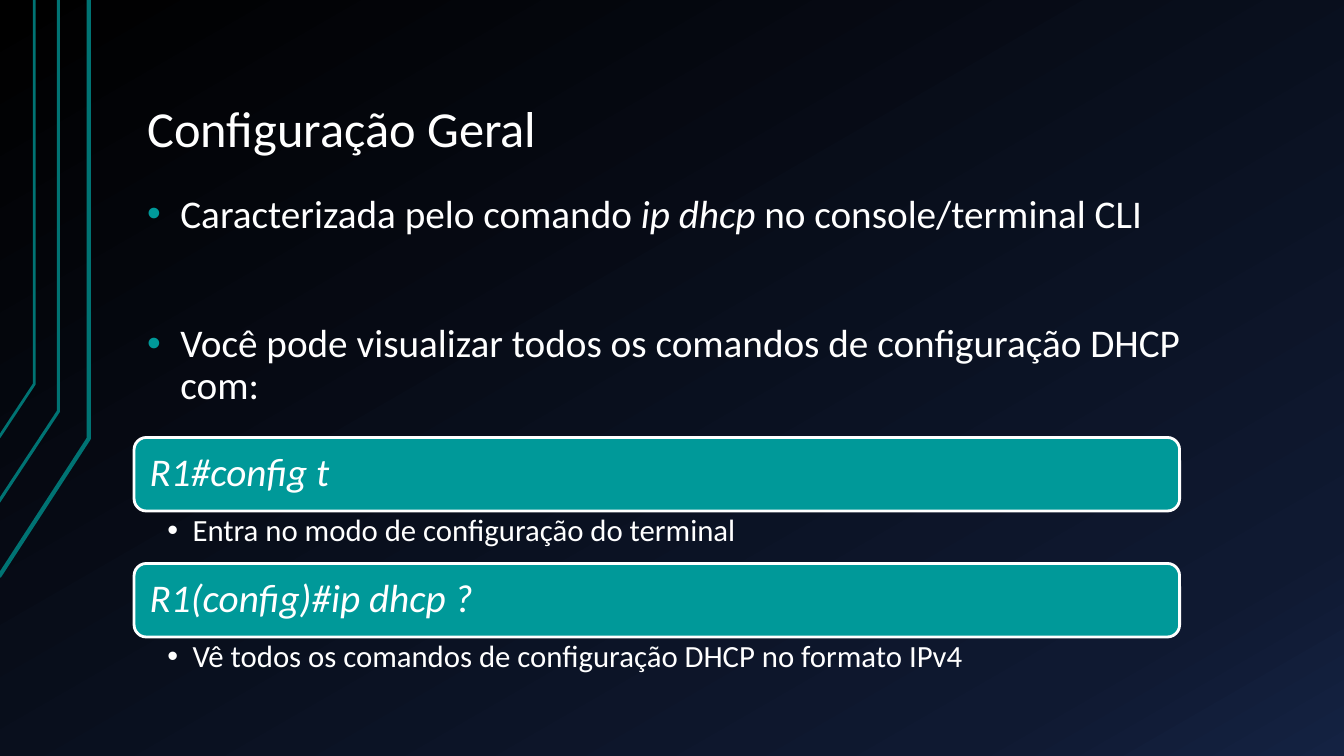
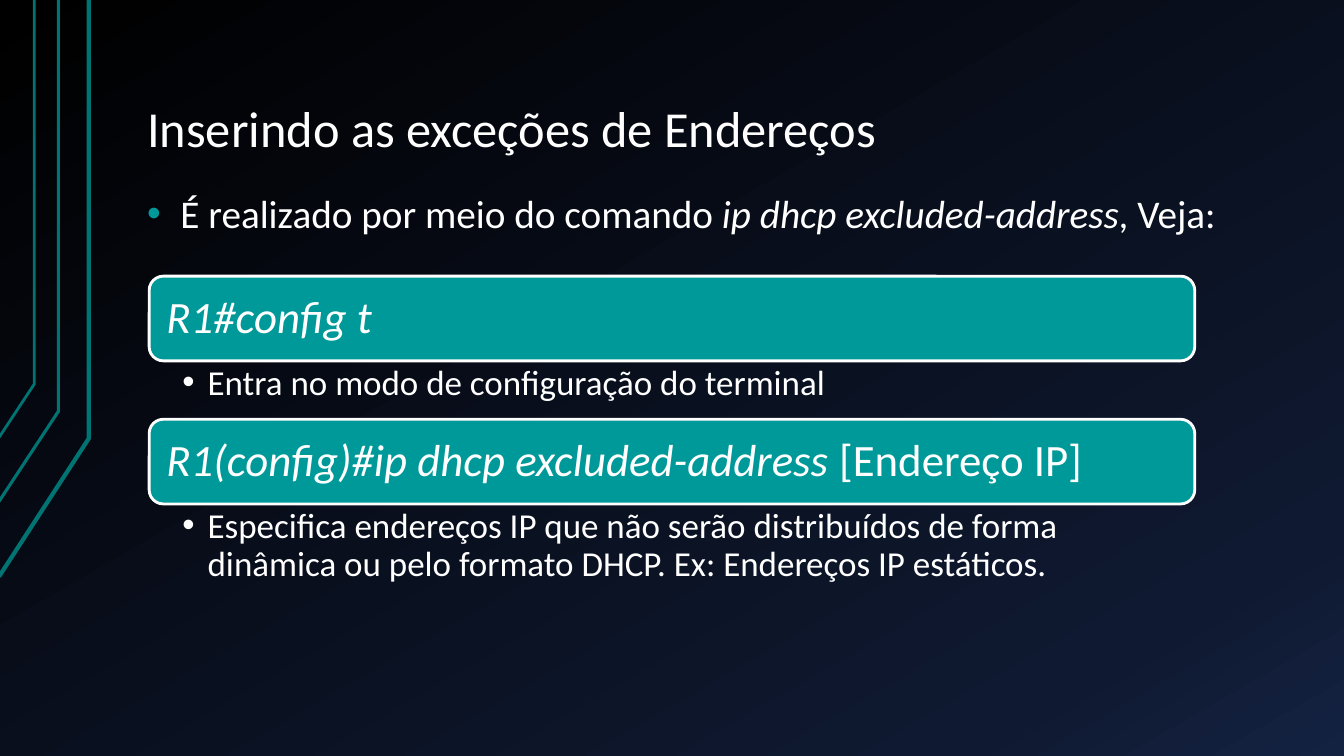
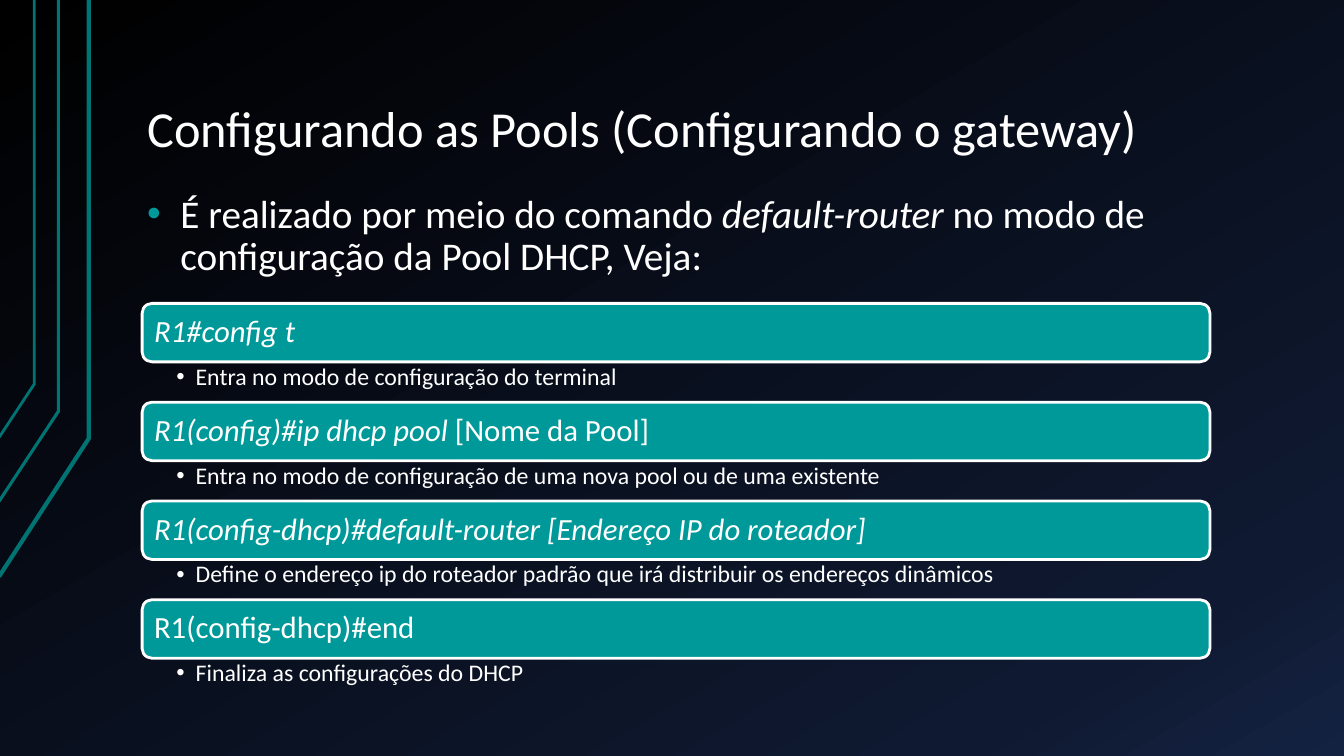
"""Build three slides on DHCP configuration commands."""
import copy

import pptx
import pptx.dml.color
import pptx.enum.shapes
import pptx.enum.text
import pptx.oxml
import pptx.oxml.ns
import pptx.util
from pptx.util import Inches

FONT = "Calibri"
COLORS = {
    "text": "FFFFFF",
    "accent": "009999",
    "rail": "007373",
    "night": "000000",
    "navy": "0F1931",
    "blue": "142242",
}
BACKGROUND_STOPS = [(0, "night"), (0.85, "navy"), (1, "blue")]
BACKGROUND_ANGLE = 300
RAILS = [
    (3, [(-0.01, 5.72), (0.88, 4.35), (0.88, 0)]),
    (2.25, [(-0.02, 4.99), (0.58, 4.08), (0.58, 0)]),
    (2, [(-0.01, 4.34), (0.34, 3.81), (0.34, 0)]),
]
TITLE_BOX = (1.33, 0.3, 11.33, 1.34)
BODY_BOX = (1.33, 1.86, 11.33, 4.88)
PLACEHOLDER_INSETS = (0.13, 0.07, 0.13, 0.07)
BODY_GAPS = [16, 62]

SLIDES = [
    {
        "title": "Configuração Geral",
        "body": [
            "Caracterizada pelo comando *ip dhcp *no console/terminal CLI",
            "Você pode visualizar todos os comandos de configuração DHCP com:",
        ],
        "list": {
            "left": 1.33, "top": 4.34, "width": 10.37, "bar": 0.73, "note": 0.52,
            "bar_size": 28, "note_size": 22, "bar_inset": 0.12,
            "note_insets": (0.33, 0.04, 0.22, 0.04), "hang": 0.25,
        },
        "steps": [
            ("*R1#config t*", "Entra no modo de configuração do terminal"),
            ("*R1(config)#ip dhcp ?*",
             "Vê todos os comandos de configuração DHCP no formato IPv4"),
        ],
    },
    {
        "title": "Inserindo as exceções de Endereços",
        "body": ["É realizado por meio do comando *ip dhcp excluded-address*, Veja:"],
        "list": {
            "left": 1.48, "top": 2.74, "width": 10.37, "bar": 0.84, "note": 0.58,
            "bar_size": 32, "note_size": 25, "bar_inset": 0.13,
            "note_insets": (0.33, 0.04, 0.25, 0.04), "hang": 0.25,
        },
        "steps": [
            ("*R1#config t*", "Entra no modo de configuração do terminal"),
            ("*R1(config)#ip dhcp excluded-address *[Endereço IP]",
             "Especifica endereços IP que não serão distribuídos de forma dinâmica "
             "ou pelo formato DHCP. Ex: Endereços IP estáticos."),
        ],
    },
    {
        "title": "Configurando as Pools (Configurando o gateway)",
        "body": [
            "É realizado por meio do comando *default-router *no modo de "
            "configuração da Pool DHCP, Veja:",
        ],
        "list": {
            "left": 1.41, "top": 3.01, "width": 10.59, "bar": 0.58, "note": 0.4,
            "bar_size": 22, "note_size": 17, "bar_inset": 0.09,
            "note_insets": (0.34, 0.03, 0.17, 0.03), "hang": 0.19,
        },
        "steps": [
            ("*R1#config t*", "Entra no modo de configuração do terminal"),
            ("*R1(config)#ip dhcp pool *[Nome da Pool]",
             "Entra no modo de configuração de uma nova pool ou de uma existente"),
            ("*R1(config-dhcp)#default-router [Endereço IP do roteador]*",
             "Define o endereço ip do roteador padrão que irá distribuir "
             "os endereços dinâmicos"),
            ("R1(config-dhcp)#end", "Finaliza as configurações do DHCP"),
        ],
    },
]


def color(name):
    return pptx.dml.color.RGBColor.from_string(COLORS[name])


def add_bullet(para, hang, bullet_color):
    properties = para._p.get_or_add_pPr()
    properties.set("marL", str(Inches(hang)))
    properties.set("indent", str(-Inches(hang)))
    namespace = pptx.oxml.ns.nsdecls("a")
    for xml in (
        f'<a:buClr {namespace}><a:srgbClr val="{COLORS[bullet_color]}"/></a:buClr>',
        f'<a:buFont {namespace} typeface="Arial"/>',
        f'<a:buChar {namespace} char="•"/>',
    ):
        properties.append(pptx.oxml.parse_xml(xml))


def write_text(shape, texts, size, insets, anchor="TOP", gaps=(0,), hang=0,
               bullet_color="text"):
    frame = shape.text_frame
    frame.word_wrap = True
    frame.vertical_anchor = getattr(pptx.enum.text.MSO_ANCHOR, anchor)
    (frame.margin_left, frame.margin_top,
     frame.margin_right, frame.margin_bottom) = map(Inches, insets)
    for index, text in enumerate(texts):
        para = frame.add_paragraph() if index else frame.paragraphs[0]
        para.alignment = pptx.enum.text.PP_ALIGN.LEFT
        para.line_spacing = 0.9
        para.space_before = pptx.util.Pt(gaps[index])
        if hang:
            add_bullet(para, hang, bullet_color)
        for part, words in enumerate(text.split("*")):
            if words:
                span = para.add_run()
                span.text = words
                span.font.name = FONT
                span.font.size = pptx.util.Pt(size)
                span.font.italic = part % 2 == 1
                span.font.color.rgb = color("text")


def add_text(page, place, texts, **style):
    write_text(page.shapes.add_textbox(*map(Inches, place)), texts, **style)


def set_background(master):
    fill = master.background.fill
    fill.gradient()
    fill.gradient_angle = BACKGROUND_ANGLE
    stops = master.element.find(".//" + pptx.oxml.ns.qn("a:gsLst"))
    stops.append(copy.deepcopy(stops[-1]))
    for stop, (position, name) in zip(fill.gradient_stops, BACKGROUND_STOPS):
        stop.position = position
        stop.color.rgb = color(name)


def add_rails(page):
    for weight, points in RAILS:
        start, *others = [(Inches(x), Inches(y)) for x, y in points]
        builder = page.shapes.build_freeform(*start)
        builder.add_line_segments(others, close=False)
        rail = builder.convert_to_shape()
        rail.shadow.inherit = False
        rail.fill.background()
        rail.line.color.rgb = color("rail")
        rail.line.width = pptx.util.Pt(weight)


def add_steps(page, steps, layout):
    left, width = layout["left"], layout["width"]
    for index, (command, note) in enumerate(steps):
        top = layout["top"] + index * (layout["bar"] + layout["note"])
        bar = page.shapes.add_shape(
            pptx.enum.shapes.MSO_SHAPE.ROUNDED_RECTANGLE,
            *map(Inches, (left, top, width, layout["bar"])))
        bar.shadow.inherit = False
        bar.fill.solid()
        bar.fill.fore_color.rgb = color("accent")
        bar.line.color.rgb = color("text")
        bar.line.width = pptx.util.Pt(2)
        write_text(bar, [command], size=layout["bar_size"],
                   insets=[layout["bar_inset"]] * 4, anchor="MIDDLE")
        add_text(page, (left, top + layout["bar"], width, layout["note"]), [note],
                 size=layout["note_size"], insets=layout["note_insets"],
                 hang=layout["hang"])


def main():
    deck = pptx.Presentation()
    deck.slide_width, deck.slide_height = Inches(13.33), Inches(7.5)
    set_background(deck.slide_master)
    for content in SLIDES:
        page = deck.slides.add_slide(deck.slide_layouts[6])
        add_rails(page)
        add_text(page, TITLE_BOX, [content["title"]], size=36,
                 insets=PLACEHOLDER_INSETS, anchor="BOTTOM")
        add_text(page, BODY_BOX, content["body"], size=28, insets=PLACEHOLDER_INSETS,
                 gaps=BODY_GAPS, hang=0.33, bullet_color="accent")
        add_steps(page, content["steps"], content["list"])
    deck.save("out.pptx")


if __name__ == "__main__":
    main()
